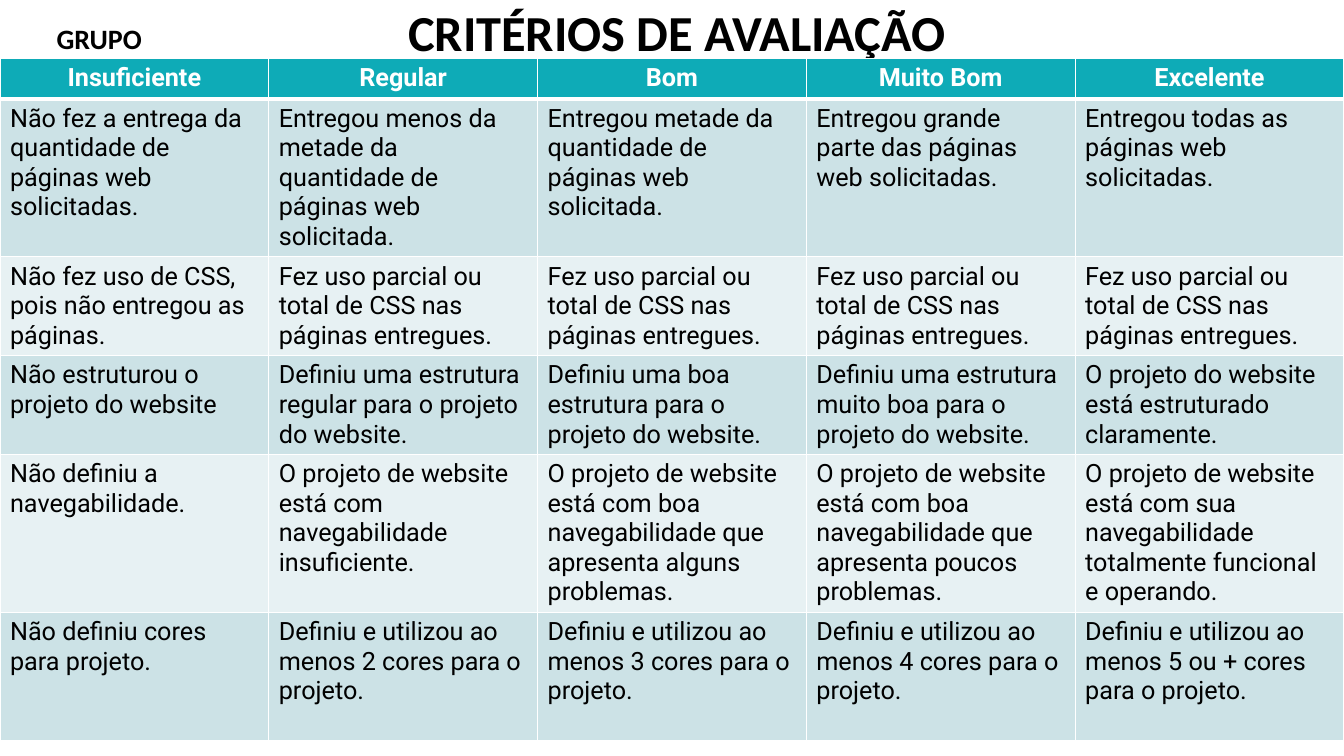
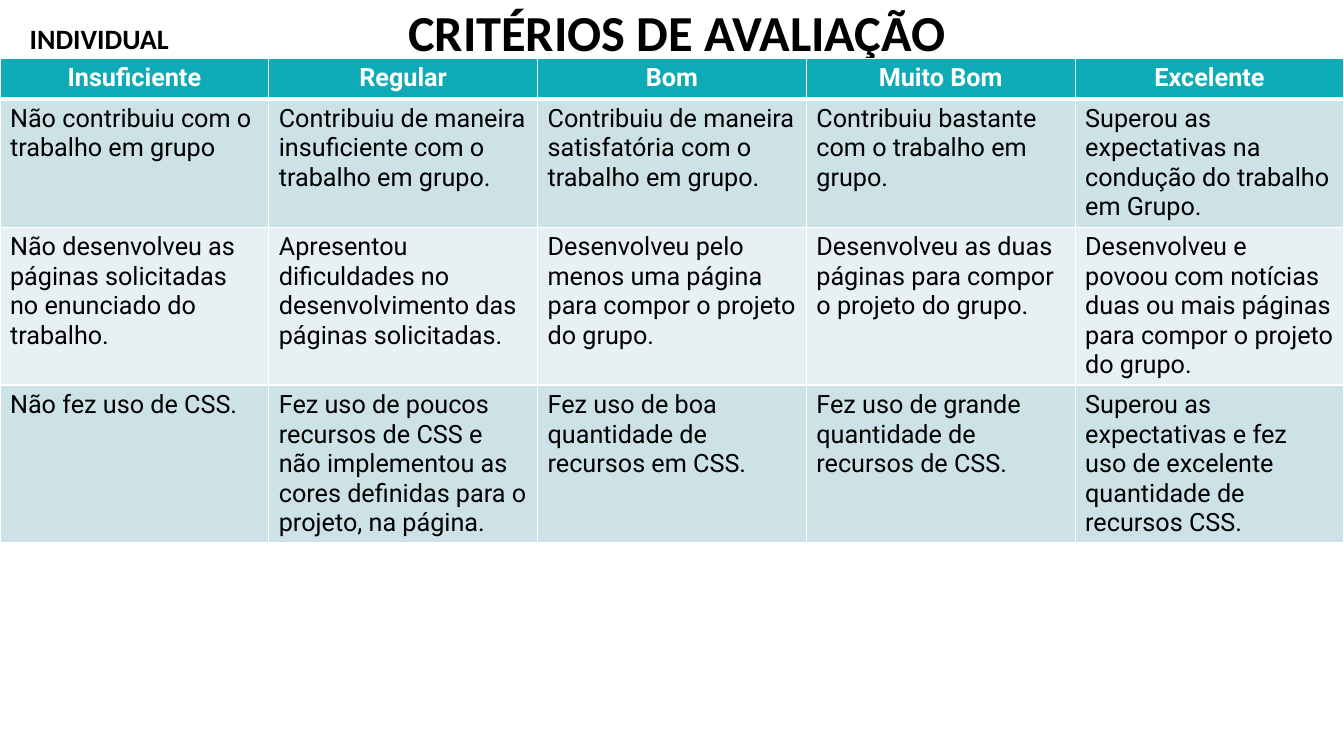
"""Builds two assessment-rubric slides, one for the group and one for the individual."""
from dataclasses import dataclass

from lxml import etree
from pptx import Presentation
from pptx.dml.color import RGBColor
from pptx.enum.text import MSO_ANCHOR as ANCHOR, MSO_AUTO_SIZE as FIT, PP_ALIGN as ALIGN
from pptx.oxml.ns import qn
from pptx.util import Inches, Pt


@dataclass(frozen=True)
class Theme:
    black: str = "000000"
    white: str = "FFFFFF"
    header: str = "0EABB7"
    bands: tuple = ("CCE2E6", "E7F1F3")
    heading_font: str = "Calibri"
    table_font: str = "Roboto"
    title_size: int = 36
    label_size: int = 20
    table_size: int = 18
    thin: int = 1
    thick: int = 3


T = Theme()
WIDTH = 13.33
TABLE_TOP = 0.58
LINE_HEIGHT = 0.29
CELL_PADDING = 0.11
HEADING = dict(line_spacing=0.9, space_before=Pt(10), alignment=ALIGN.CENTER)
LEVELS = ["Insuficiente", "Regular", "Bom", "Muito Bom", "Excelente"]
PARTIAL_CSS = "Fez uso parcial ou total de CSS nas páginas entregues."

SLIDES = [
    ("GRUPO", [1, 5, 3, 3, 5, 4], [
        LEVELS,
        ["Não fez a entrega da quantidade de páginas web solicitadas.",
         "Entregou menos da metade da quantidade de páginas web solicitada.",
         "Entregou metade da quantidade de páginas web solicitada.",
         "Entregou grande parte das páginas web solicitadas.",
         "Entregou todas as páginas web solicitadas."],
        ["Não fez uso de CSS, pois não entregou as páginas.", *[PARTIAL_CSS] * 4],
        ["Não estruturou o projeto do website",
         "Definiu uma estrutura regular para o projeto do website.",
         "Definiu uma boa estrutura para o projeto do website.",
         "Definiu uma estrutura muito boa para o projeto do website.",
         "O projeto do website está estruturado claramente."],
        ["Não definiu a navegabilidade.",
         "O projeto de website está com navegabilidade insuficiente.",
         "O projeto de website está com boa navegabilidade que apresenta alguns problemas.",
         "O projeto de website está com boa navegabilidade que apresenta poucos problemas.",
         "O projeto de website está com sua navegabilidade totalmente funcional e operando."],
        ["Não definiu cores para projeto.",
         *[f"Definiu e utilizou ao menos {n} cores para o projeto." for n in ("2", "3", "4", "5 ou +")]],
    ]),
    ("INDIVIDUAL", [1, 4, 5, 5], [
        LEVELS,
        ["Não contribuiu com o trabalho em grupo",
         "Contribuiu de maneira insuficiente com o trabalho em grupo.",
         "Contribuiu de maneira satisfatória com o trabalho em grupo.",
         "Contribuiu bastante com o trabalho em grupo.",
         "Superou as expectativas na condução do trabalho em Grupo."],
        ["Não desenvolveu as páginas solicitadas no enunciado do trabalho.",
         "Apresentou dificuldades no desenvolvimento das páginas solicitadas.",
         "Desenvolveu pelo menos uma página para compor o projeto do grupo.",
         "Desenvolveu as duas páginas para compor o projeto do grupo.",
         "Desenvolveu e povoou com notícias duas ou mais páginas para compor o projeto do grupo."],
        ["Não fez uso de CSS.",
         "Fez uso de poucos recursos de CSS e não implementou as cores definidas para o projeto, na página.",
         "Fez uso de boa quantidade de recursos em CSS.",
         "Fez uso de grande quantidade de recursos de CSS.",
         "Superou as expectativas e fez uso de excelente quantidade de recursos CSS."],
    ]),
]


def write(tf, text, font, size, color, bold, para):
    p = tf.paragraphs[0]
    for name, value in para.items():
        setattr(p, name, value)
    r = p.add_run()
    r.text = text
    for name, value in dict(name=font, size=Pt(size), bold=bold).items():
        setattr(r.font, name, value)
    r.font.color.rgb = RGBColor.from_string(color)


def border(cell, widths):
    tcPr = cell._tc.get_or_add_tcPr()
    for side, width in widths.items():
        ln = etree.SubElement(tcPr, qn(f"a:ln{side}"), w=str(Pt(width)))
        fill = etree.SubElement(ln, qn("a:solidFill"))
        etree.SubElement(fill, qn("a:srgbClr"), val=T.white)


prs = Presentation()
prs.slide_width, prs.slide_height = Inches(WIDTH), Inches(7.5)

for label, lines, rows in SLIDES:
    s = prs.slides.add_slide(prs.slide_layouts[5])
    title = s.shapes.title
    title.left, title.top, title.width, title.height = map(Inches, (0.3, 0, 12.83, 0.69))
    tf = title.text_frame
    tf.auto_size, tf.vertical_anchor = FIT.NONE, ANCHOR.MIDDLE
    write(tf, "CRITÉRIOS DE AVALIAÇÃO", T.heading_font, T.title_size, T.black, True, HEADING)

    heights = [n * LINE_HEIGHT + CELL_PADDING for n in lines]
    frame = s.shapes.add_table(len(rows), len(LEVELS), 0, Inches(TABLE_TOP),
                               Inches(WIDTH), Inches(sum(heights)))
    table = frame.table
    for column in table.columns:
        column.width = Inches(WIDTH / len(LEVELS))
    for i, texts in enumerate(rows):
        table.rows[i].height = Inches(heights[i])
        head = i == 0
        fill = T.header if head else T.bands[(i - 1) % 2]
        color = T.white if head else T.black
        align = ALIGN.CENTER if head else ALIGN.LEFT
        sides = dict(L=T.thin, R=T.thin, T=T.thick if i == 1 else T.thin,
                     B=T.thick if head else T.thin)
        for j, text in enumerate(texts):
            cell = table.cell(i, j)
            border(cell, sides)
            cell.fill.solid()
            cell.fill.fore_color.rgb = RGBColor.from_string(fill)
            write(cell.text_frame, text, T.table_font, T.table_size, color, head,
                  dict(alignment=align))

    box = s.shapes.add_textbox(*map(Inches, (0.1, 0.2, 1.77, 0.37)))
    tf = box.text_frame
    tf.word_wrap = True
    write(tf, label, T.heading_font, T.label_size, T.black, True, HEADING)

prs.save("out.pptx")
